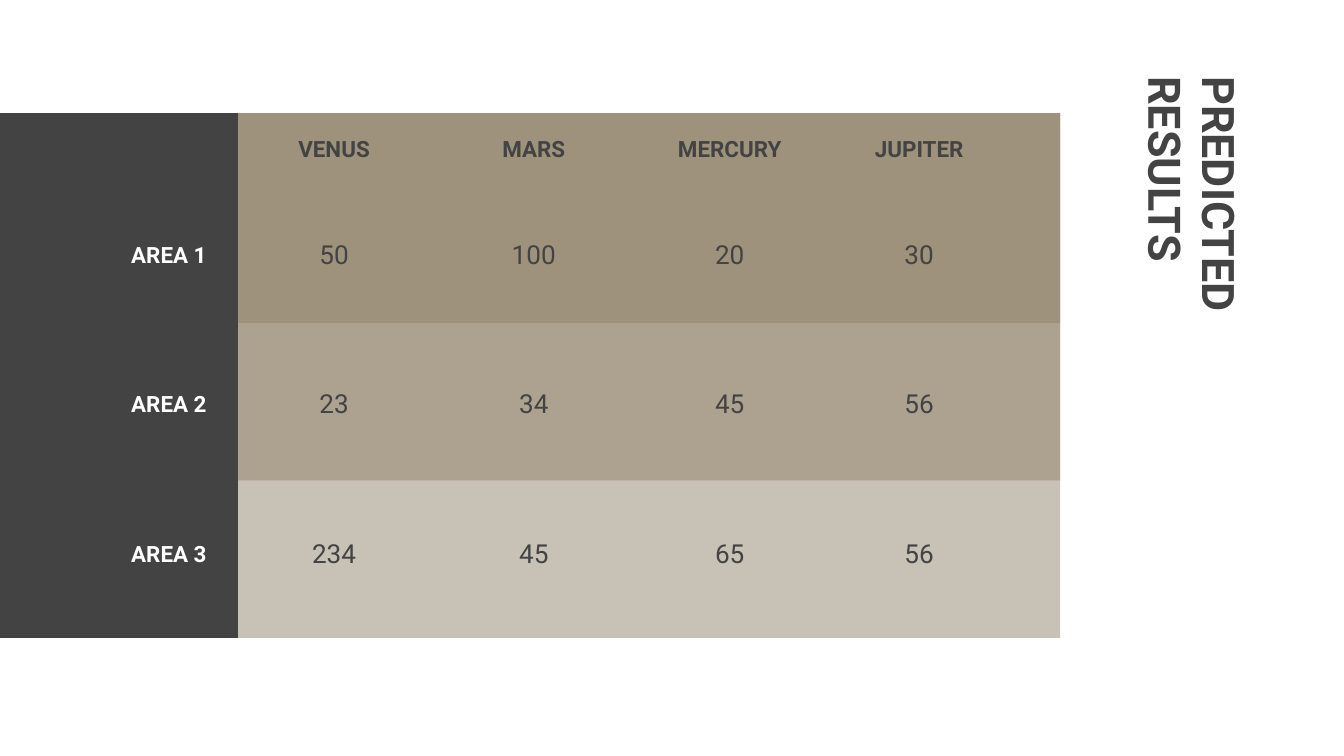
import pptx
import pptx.util
import pptx.dml.color
import pptx.enum.shapes
import pptx.enum.text
import pptx.oxml
import pptx.oxml.ns

Pt = pptx.util.Pt
COLORS = {"dark": "434343", "sand": "908269", "white": "FFFFFF"}
FONT = "Roboto"
NO_GRID_STYLE = "{2D5ABB26-0587-4C30-8999-92F81FD0307C}"

RESULTS = [
    ["", "VENUS", "MARS", "MERCURY", "JUPITER"],
    ["AREA 1", "50", "100", "20", "30"],
    ["AREA 2", "23", "34", "45", "56"],
    ["AREA 3", "234", "45", "65", "56"],
]
COLUMN_WIDTHS = [67, 110, 104, 106, 97]
ROW_HEIGHTS = [33, 80, 80, 80]


def rgb(name):
    return pptx.dml.color.RGBColor.from_string(COLORS[name])


def add_span(para, text, size, color, bold):
    span = para.add_run()
    span.text = text
    span.font.name = FONT
    span.font.size = Pt(size)
    span.font.bold = bold
    span.font.color.rgb = rgb(color)


def add_panel(page, left, top, width, height, color, opacity=100):
    panel = page.shapes.add_shape(
        pptx.enum.shapes.MSO_SHAPE.RECTANGLE,
        Pt(left), Pt(top), Pt(width), Pt(height))
    panel.shadow.inherit = False
    panel.fill.solid()
    panel.fill.fore_color.rgb = rgb(color)
    panel.line.fill.background()
    if opacity < 100:
        color_element = panel.fill._xPr.find(".//" + pptx.oxml.ns.qn("a:srgbClr"))
        color_element.append(pptx.oxml.parse_xml(
            f'<a:alpha {pptx.oxml.ns.nsdecls("a")} val="{opacity * 1000}"/>'))


def add_backdrop(page, left, top, width, header_height, band_height):
    # Overlapping translucent panels darken towards the top
    for bands in (3, 2, 1):
        add_panel(page, left, top, width, header_height + bands * band_height,
                  "sand", opacity=49)
    # Dark column behind the row labels
    add_panel(page, left, top, 127.5, header_height + 3 * band_height, "dark")


def add_title(page, left, top, width, height):
    box = page.shapes.add_textbox(Pt(left), Pt(top), Pt(width), Pt(height))
    box.rotation = 90
    frame = box.text_frame
    frame.word_wrap = True
    frame.vertical_anchor = pptx.enum.text.MSO_ANCHOR.TOP
    frame.margin_left = frame.margin_right = Pt(7.2)
    frame.margin_top = frame.margin_bottom = Pt(7.2)
    add_span(frame.paragraphs[0], "PREDICTED RESULTS", 24, "dark", True)


def add_results(page, left, top):
    frame = page.shapes.add_table(
        len(ROW_HEIGHTS), len(COLUMN_WIDTHS), Pt(left), Pt(top),
        Pt(sum(COLUMN_WIDTHS)), Pt(sum(ROW_HEIGHTS)))
    table = frame.table
    table.first_row = table.horz_banding = False
    style = table._tbl.tblPr.find(pptx.oxml.ns.qn("a:tableStyleId"))
    style.text = NO_GRID_STYLE
    for column, width in zip(table.columns, COLUMN_WIDTHS):
        column.width = Pt(width)
    for row, height in zip(table.rows, ROW_HEIGHTS):
        row.height = Pt(height)

    for row_index, values in enumerate(RESULTS):
        for column_index, value in enumerate(values):
            cell = table.cell(row_index, column_index)
            cell.fill.background()
            cell.vertical_anchor = pptx.enum.text.MSO_ANCHOR.MIDDLE
            # The empty corner must not stretch the header row
            margin = Pt(7.2 if value else 0)
            cell.margin_left = cell.margin_right = margin
            cell.margin_top = cell.margin_bottom = margin
            if not value:
                continue
            para = cell.text_frame.paragraphs[0]
            para.alignment = pptx.enum.text.PP_ALIGN.CENTER
            is_label = row_index == 0 or column_index == 0
            add_span(para, value, 12 if is_label else 14,
                     "white" if column_index == 0 else "dark", is_label)


def main():
    deck = pptx.Presentation()
    deck.slide_width, deck.slide_height = Pt(720), Pt(405)
    page = deck.slides.add_slide(deck.slide_layouts[6])
    add_backdrop(page, 0, 60.6, 568, 28, 84.4)
    add_title(page, 545, 126, 222.5, 38)
    add_results(page, 57, 64)
    deck.save("out.pptx")


if __name__ == "__main__":
    main()
